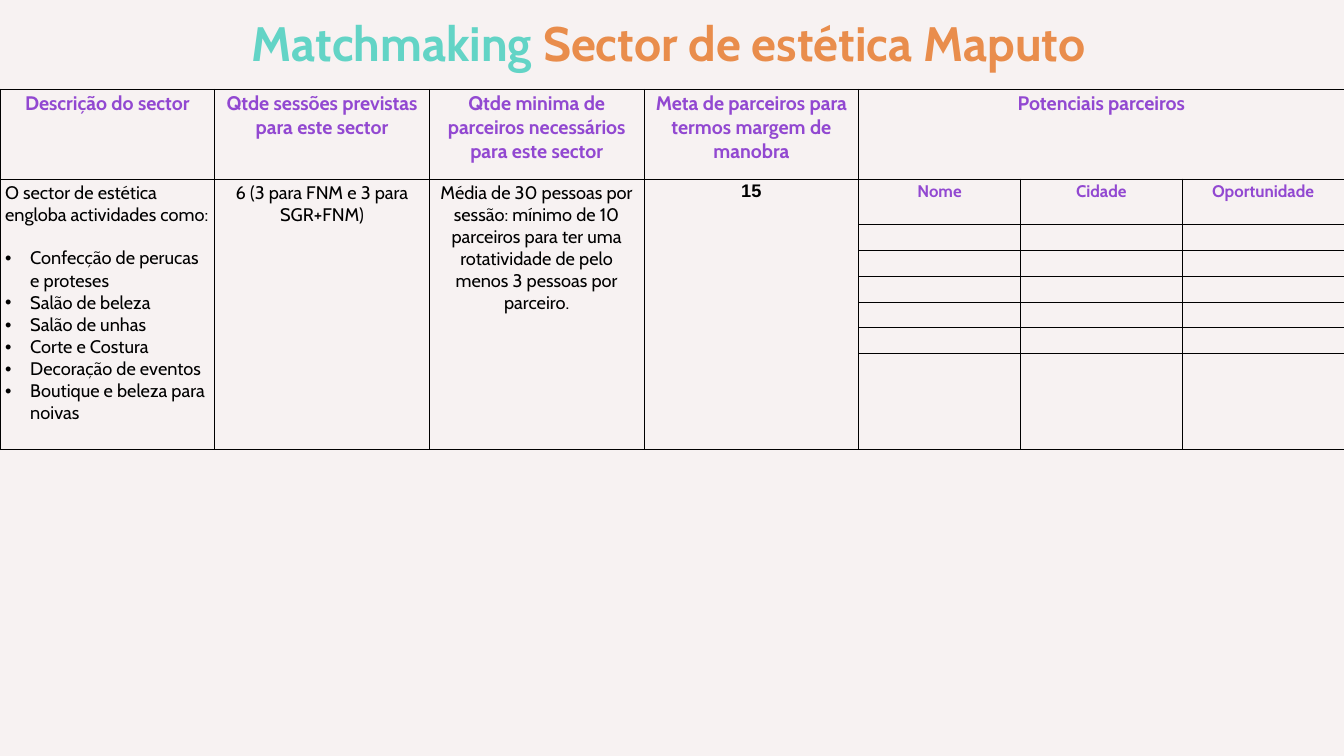
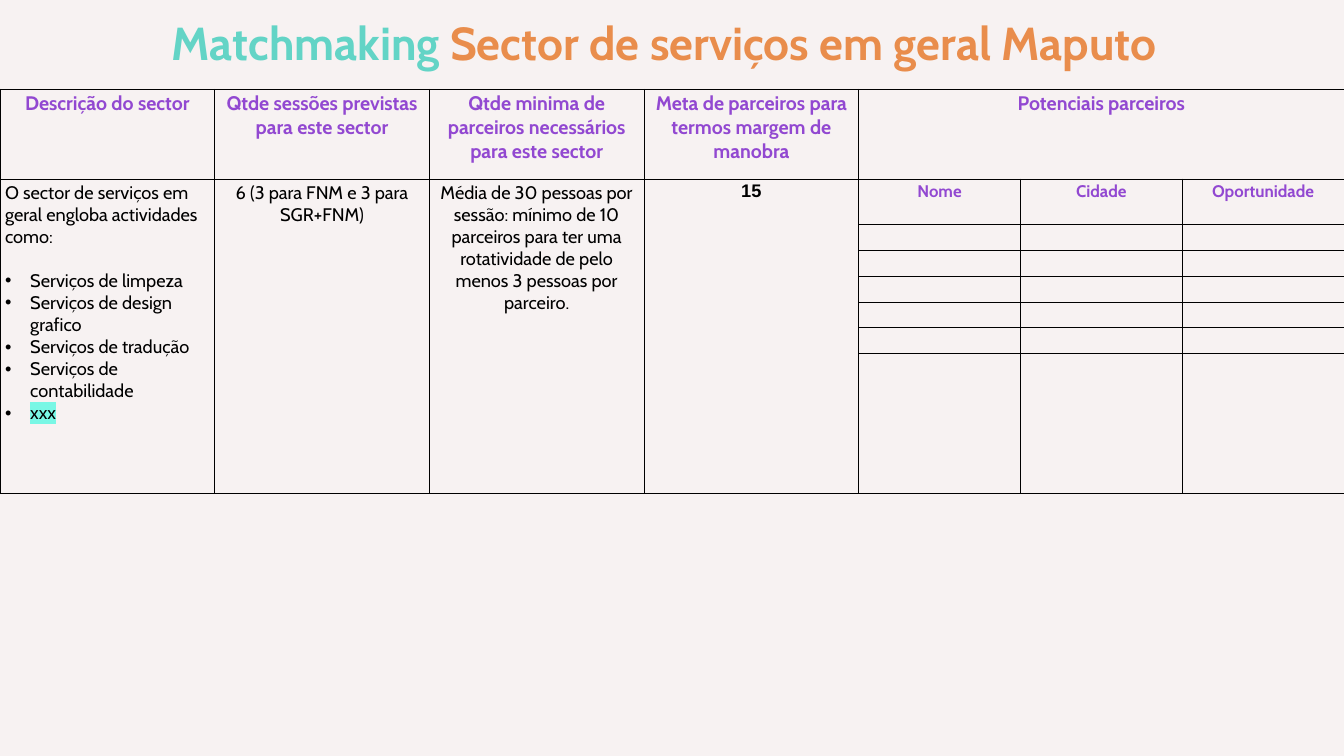
from dataclasses import dataclass
from lxml.etree import SubElement
from pptx import Presentation
from pptx.dml.color import RGBColor
from pptx.enum.text import MSO_ANCHOR, MSO_AUTO_SIZE, PP_ALIGN
from pptx.oxml.ns import qn
from pptx.util import Inches, Pt


@dataclass(frozen=True)
class Theme:
    font: str = "Cabin"
    plain: str = "Arial"
    paper: str = "F7F2F2"
    ink: str = "000000"
    teal: str = "63D4C6"
    orange: str = "E98D4C"
    purple: str = "9248D1"
    mark: str = "79F7E5"
    head: int = 28
    body: int = 26
    label: int = 24
    gap: int = 31
    rule: int = 1


THEME = Theme()
WIDTH, HEIGHT = 26.67, 15
COLS = [4.26] * 4 + [3.21] * 3
HEADS = [
    "Descrição do sector",
    "Qtde sessões previstas para este sector",
    "Qtde minima de parceiros necessários para este sector",
    "Meta de parceiros para termos margem de manobra",
    "Potenciais parceiros",
]
FACTS = [
    "6 (3 para FNM e 3 para SGR+FNM)",
    "Média de 30 pessoas por sessão: mínimo de 10 parceiros para ter uma "
    "rotatividade de pelo menos 3 pessoas por parceiro.",
    "15",
]
LABELS = ["Nome", "Cidade", "Oportunidade"]
SECTORS = [
    {
        "name": "Sector de estética Maputo",
        "size": 69,
        "left": -0.2,
        "last": 1.9,
        "intro": "O sector de estética engloba actividades como:",
        "items": [
            "Confecção de perucas e proteses",
            "Salão de beleza",
            "Salão de unhas",
            "Corte e Costura",
            "Decoração de eventos",
            "Boutique e beleza para noivas",
        ],
        "draft": None,
    },
    {
        "name": "Sector de serviços em geral Maputo",
        "size": 66,
        "left": -0.38,
        "last": 2.77,
        "intro": "O sector de serviços em geral engloba actividades como:",
        "items": [
            "Serviços de limpeza",
            "Serviços de design grafico",
            "Serviços de tradução",
            "Serviços de contabilidade",
            "xxx",
        ],
        "draft": "xxx",
    },
]


def style(para, size, color, bold=False, face=THEME.font, align=PP_ALIGN.CENTER):
    para.alignment = align
    font = para.font
    font.size, font.name, font.bold = Pt(size), face, bold
    font.color.rgb = RGBColor.from_string(color)


def bullet(para):
    props = para._p.get_or_add_pPr()
    props.set("marL", str(Inches(0.5)))
    props.set("indent", str(-Inches(0.5)))
    SubElement(props, qn("a:buFont"), typeface=THEME.plain)
    SubElement(props, qn("a:buChar"), char="•")


def shade(run, color):
    light = SubElement(run._r.get_or_add_rPr(), qn("a:highlight"))
    SubElement(light, qn("a:srgbClr"), val=color)


def frame(cell):
    props = cell._tc.get_or_add_tcPr()
    for side in ("lnL", "lnR", "lnT", "lnB"):
        line = SubElement(props, qn(f"a:{side}"), w=str(Pt(THEME.rule)))
        fill = SubElement(line, qn("a:solidFill"))
        SubElement(fill, qn("a:srgbClr"), val=THEME.ink)
    cell.fill.background()


def write(cell, text, size, color, **look):
    cell.text = text
    style(cell.text_frame.paragraphs[0], size, color, **look)


def add_title(slide, box, sector):
    title = slide.shapes.title
    title.left, title.top, title.width, title.height = map(Inches, box)
    body = title.text_frame
    body.auto_size = MSO_AUTO_SIZE.NONE
    body.word_wrap = True
    body.vertical_anchor = MSO_ANCHOR.MIDDLE
    body.margin_left = body.margin_right = Inches(0.06)
    body.margin_top = body.margin_bottom = Inches(0.06)
    para = body.paragraphs[0]
    style(para, sector["size"], THEME.teal, bold=True)
    for text, color in (("Matchmaking ", THEME.teal), (sector["name"], THEME.orange)):
        run = para.add_run()
        run.text = text
        run.font.color.rgb = RGBColor.from_string(color)


def fill_scope(cell, sector):
    write(cell, sector["intro"], THEME.body, THEME.ink, align=PP_ALIGN.LEFT)
    for num, item in enumerate(sector["items"]):
        para = cell.text_frame.add_paragraph()
        if num == 0:
            para.space_before = Pt(THEME.gap)
        bullet(para)
        run = para.add_run()
        run.text = item
        if item == sector["draft"]:
            shade(run, THEME.mark)
        style(para, THEME.body, THEME.ink, align=PP_ALIGN.LEFT)


def add_grid(slide, box, sector):
    rows = [1.78, 0.91] + [0.51] * 5 + [sector["last"]]
    left, top, width = box
    shape = slide.shapes.add_table(
        len(rows), len(COLS), Inches(left), Inches(top), Inches(width), Inches(sum(rows))
    )
    grid = shape.table
    grid.first_row = grid.horz_banding = False
    for col, size in zip(grid.columns, COLS):
        col.width = Inches(size)
    for row, size in zip(grid.rows, rows):
        row.height = Inches(size)
    for cell in grid.iter_cells():
        frame(cell)
    grid.cell(0, 4).merge(grid.cell(0, 6))
    for col in range(4):
        grid.cell(1, col).merge(grid.cell(len(rows) - 1, col))

    for col, text in enumerate(HEADS):
        write(grid.cell(0, col), text, THEME.head, THEME.purple, bold=True)
    fill_scope(grid.cell(1, 0), sector)
    for col, text in enumerate(FACTS, 1):
        goal = col == len(FACTS)
        face = THEME.plain if goal else THEME.font
        write(grid.cell(1, col), text, THEME.body, THEME.ink, bold=goal, face=face)
    for col, text in enumerate(LABELS, 4):
        write(grid.cell(1, col), text, THEME.label, THEME.purple, bold=True)


def add_sector(deck, sector):
    slide = deck.slides.add_slide(deck.slide_layouts[5])
    left = sector["left"]
    add_title(slide, (left, 0.03, 26.74 - left, 1.62), sector)
    add_grid(slide, (0, 1.77, WIDTH), sector)


def main():
    deck = Presentation()
    deck.slide_width, deck.slide_height = Inches(WIDTH), Inches(HEIGHT)
    paper = deck.slide_master.background.fill
    paper.solid()
    paper.fore_color.rgb = RGBColor.from_string(THEME.paper)
    for sector in SECTORS:
        add_sector(deck, sector)
    deck.save("out.pptx")


if __name__ == "__main__":
    main()
